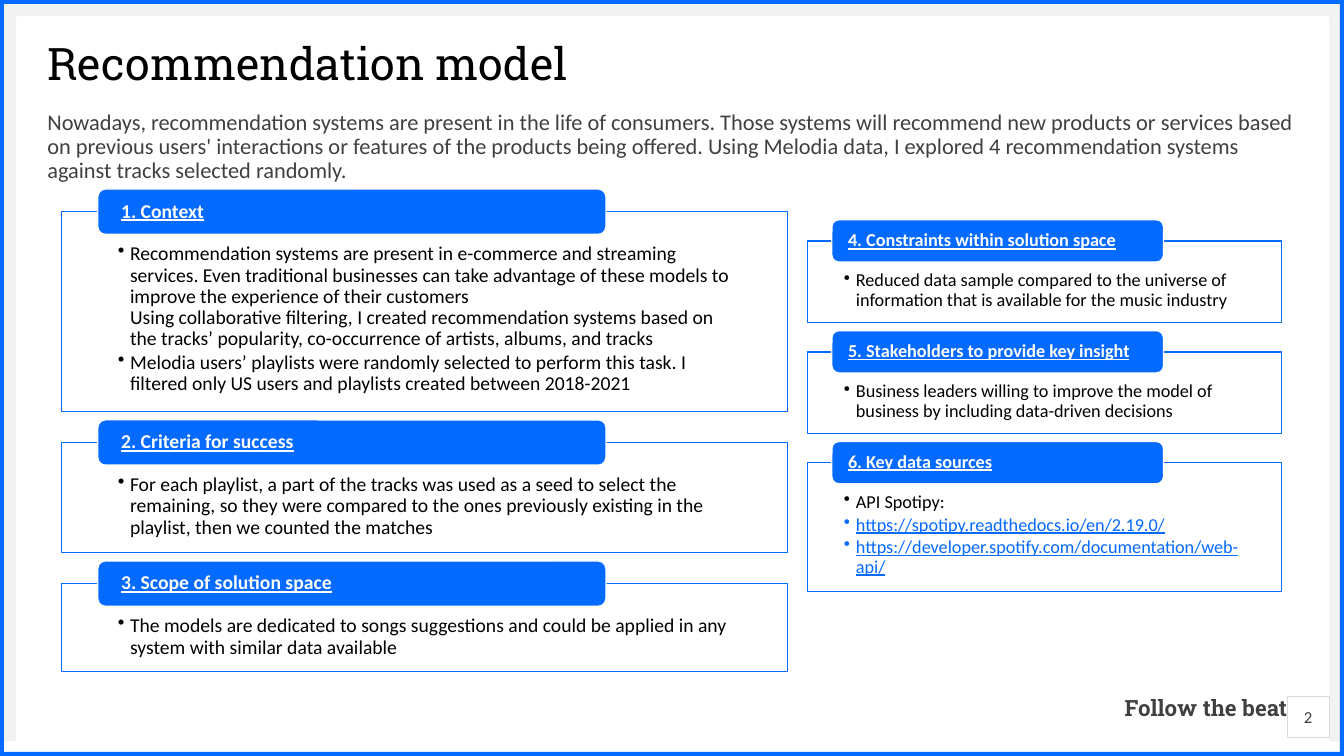
from lxml.etree import SubElement
from pptx import Presentation
from pptx.dml.color import RGBColor
from pptx.enum.shapes import MSO_SHAPE
from pptx.enum.text import MSO_ANCHOR, PP_ALIGN
from pptx.oxml.ns import qn
from pptx.util import Inches, Pt

BLUE = RGBColor(0x05, 0x6A, 0xFF)
WHITE = RGBColor(0xFF, 0xFF, 0xFF)
BLACK = RGBColor(0, 0, 0)
DARK_GRAY = RGBColor(0x40, 0x40, 0x40)
LIGHT_GRAY = RGBColor(0xF2, 0xF2, 0xF2)
BORDER_GRAY = RGBColor(0xD9, 0xD9, 0xD9)
BODY_FONT = "Calibri"
HEADING_FONT = "Roboto Slab"

TITLE = "Recommendation model"
INTRO = (
    "Nowadays, recommendation systems are present in the life of consumers. Those systems will "
    "recommend new products or services based on previous users' interactions or features of the "
    "products being offered. Using Melodia data, I explored 4 recommendation systems against "
    "tracks selected randomly."
)
TAGLINE = "Follow the beat"
PAGE_NUMBER = "2"

LEFT_SECTIONS = [
    ("1. Context", 1.98, [
        "Recommendation systems are present in e-commerce and streaming services. Even traditional "
        "businesses can take advantage of these models to improve the experience of their customers\n"
        "Using collaborative filtering, I created recommendation systems based on the tracks’ "
        "popularity, co-occurrence of artists, albums, and tracks",
        "Melodia users’ playlists were randomly selected to perform this task. I filtered only US "
        "users and playlists created between 2018-2021",
    ]),
    ("2. Criteria for success", 1.09, [
        "For each playlist, a part of the tracks was used as a seed to select the remaining, so they "
        "were compared to the ones previously existing in the playlist, then we counted the matches",
    ]),
    ("3. Scope of solution space", 0.87, [
        "The models are dedicated to songs suggestions and could be applied in any system with "
        "similar data available",
    ]),
]
RIGHT_SECTIONS = [
    ("4. Constraints within solution space", 0.81, [
        "Reduced data sample compared to the universe of information that is available for the "
        "music industry",
    ]),
    ("5. Stakeholders to provide key insight", 0.81, [
        "Business leaders willing to improve the model of business by including data-driven decisions",
    ]),
    ("6. Key data sources", 1.28, [
        "API Spotipy:",
        "https://spotipy.readthedocs.io/en/2.19.0/",
        "https://developer.spotify.com/documentation/web-api/",
    ]),
]
COLUMNS = [
    dict(sections=LEFT_SECTIONS, left=0.61, top=2.1, width=7.2, gap=0.31, size=14,
         insets=(0.56, 0.32, 0.56, 0.11), tab=(0.97, 5.04, 0.45), tab_inset=0.21),
    dict(sections=RIGHT_SECTIONS, left=8.01, top=2.39, width=4.7, gap=0.29, size=13,
         insets=(0.36, 0.3, 0.36, 0.1), tab=(8.25, 3.29, 0.42), tab_inset=0.14),
]


def add_box(page, kind, area, fill, line=None, line_width=1):
    box = page.shapes.add_shape(kind, *map(Inches, area))
    box.shadow.inherit = False
    box.fill.solid()
    box.fill.fore_color.rgb = fill
    if line is None:
        box.line.fill.background()
    else:
        box.line.color.rgb = line
        box.line.width = Pt(line_width)
    return box


def set_frame(box, insets=(0, 0, 0, 0), anchor=MSO_ANCHOR.MIDDLE):
    frame = box.text_frame
    frame.word_wrap = True
    frame.vertical_anchor = anchor
    frame.margin_left, frame.margin_top, frame.margin_right, frame.margin_bottom = map(Inches, insets)
    return frame


def write(para, text, size, color, name=BODY_FONT, align=PP_ALIGN.LEFT, spacing=0.9,
          bold=False, underline=False):
    para.text = text
    para.alignment = align
    para.line_spacing = spacing
    for span in para.runs:
        font = span.font
        font.name, font.size, font.bold, font.underline = name, Pt(size), bold, underline
        font.color.rgb = color


def add_bullet(para):
    properties = para._p.get_or_add_pPr()
    properties.set("marL", str(Inches(0.12)))
    properties.set("indent", str(-Inches(0.12)))
    SubElement(properties, qn("a:buChar")).set("char", "•")
    para.space_after = Pt(2)


def add_section(page, column, top, heading, height, bullets):
    panel = add_box(page, MSO_SHAPE.RECTANGLE, (column["left"], top, column["width"], height), WHITE, BLUE)
    frame = set_frame(panel, column["insets"], MSO_ANCHOR.TOP)
    for index, text in enumerate(bullets):
        para = frame.paragraphs[0] if index == 0 else frame.add_paragraph()
        add_bullet(para)
        link = text.startswith("https:")
        write(para, text, column["size"], BLUE if link else BLACK, underline=link)

    left, width, tab_height = column["tab"]
    area = (left, top - tab_height / 2, width, tab_height)
    tab = add_box(page, MSO_SHAPE.ROUNDED_RECTANGLE, area, BLUE, WHITE)
    frame = set_frame(tab, (column["tab_inset"], 0, column["tab_inset"], 0))
    write(frame.paragraphs[0], heading, column["size"], WHITE, bold=True, underline=True)


def add_border(page):
    for area in ((0, 0, 13.33, 0.16), (0, 0.1, 0.16, 7.25), (13.18, 0.1, 0.16, 7.25)):
        add_box(page, MSO_SHAPE.RECTANGLE, area, LIGHT_GRAY)
    border = add_box(page, MSO_SHAPE.FRAME, (0, 0, 13.33, 7.5), BLUE)
    border.adjustments[0] = 0.04 / 7.5


def add_text(page, area, insets=(0, 0, 0, 0)):
    box = page.shapes.add_textbox(*map(Inches, area))
    return set_frame(box, insets, MSO_ANCHOR.TOP).paragraphs[0]


def main():
    """Build the recommendation model slide."""
    deck = Presentation()
    deck.slide_width, deck.slide_height = Inches(13.33), Inches(7.5)
    page = deck.slides.add_slide(deck.slide_layouts[5])
    add_border(page)

    title = page.shapes.title
    title.left, title.top, title.width, title.height = map(Inches, (0.47, 0.42, 12.4, 0.47))
    write(set_frame(title).paragraphs[0], TITLE, 32, BLACK, HEADING_FONT)
    write(add_text(page, (0.47, 1.1, 12.4, 0.83)), INTRO, 16, DARK_GRAY)

    for column in COLUMNS:
        top = column["top"]
        for heading, height, bullets in column["sections"]:
            add_section(page, column, top, heading, height, bullets)
            top += height + column["gap"]

    tagline = add_text(page, (11.15, 6.84, 1.62, 0.48), (0, 0.16, 0, 0))
    write(tagline, TAGLINE, 16, DARK_GRAY, HEADING_FONT, PP_ALIGN.CENTER, Pt(11), bold=True)
    number = add_box(page, MSO_SHAPE.RECTANGLE, (12.77, 6.91, 0.41, 0.4), WHITE, BORDER_GRAY, 0.25)
    write(set_frame(number).paragraphs[0], PAGE_NUMBER, 12, DARK_GRAY, align=PP_ALIGN.CENTER, spacing=1.0)
    deck.save("out.pptx")


if __name__ == "__main__":
    main()
